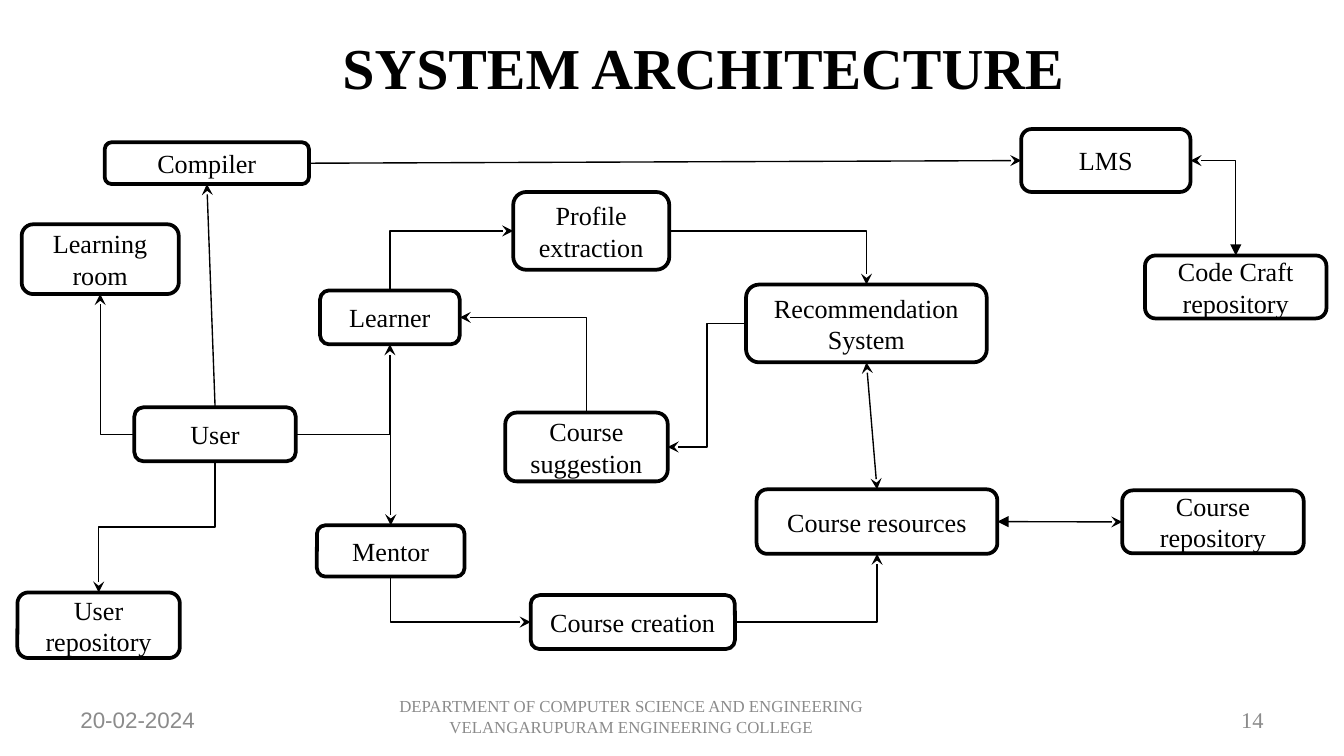
from dataclasses import dataclass

from pptx import Presentation
from pptx.dml.color import RGBColor
from pptx.enum.shapes import MSO_CONNECTOR, MSO_SHAPE
from pptx.enum.text import MSO_ANCHOR, PP_ALIGN
from pptx.oxml.ns import qn
from pptx.util import Cm, Pt
from lxml import etree

ROUND = MSO_SHAPE.ROUNDED_RECTANGLE
LINE, ELBOW = MSO_CONNECTOR.STRAIGHT, MSO_CONNECTOR.ELBOW
LEFT, MID, RIGHT = PP_ALIGN.LEFT, PP_ALIGN.CENTER, PP_ALIGN.RIGHT
MIDDLE = MSO_ANCHOR.MIDDLE
# connection sites of a box
N, W, S, E = range(4)


@dataclass(frozen=True)
class Theme:
    ink: RGBColor = RGBColor(0, 0, 0)
    paper: RGBColor = RGBColor(255, 255, 255)
    grey: RGBColor = RGBColor(0x8B, 0x8B, 0x8B)
    serif: str = "Times New Roman"
    sans: str = "Arial"
    title: int = 31
    body: int = 14
    foot: int = 12
    small: int = 9
    border: float = 2
    wire: float = 0.75


theme = Theme()


def write(shape, text, size=theme.body, color=theme.ink, font=theme.serif,
          align=MID, bold=False):
    frame = shape.text_frame
    frame.word_wrap = True
    frame.vertical_anchor = MIDDLE
    frame.text = text
    for para in frame.paragraphs:
        para.alignment = align
        face = para.runs[0].font
        face.name, face.size, face.bold = font, Pt(size), bold
        face.color.rgb = color


deck = Presentation()
deck.slide_width, deck.slide_height = Cm(25.4), Cm(14.29)
slide = deck.slides.add_slide(deck.slide_layouts[6])
shapes = slide.shapes

# Title and footer
grey = {"color": theme.grey}
labels = [
    ("SYSTEM ARCHITECTURE", (1.17, 0.41, 24.23, 1.7),
     {"size": theme.title, "bold": True}),
    ("20-02-2024", (1.27, 13.23, 5.92, 0.76),
     {"size": theme.foot, "font": theme.sans, "align": LEFT, **grey}),
    ("DEPARTMENT OF COMPUTER SCIENCE AND ENGINEERING\n"
     "VELANGARUPURAM ENGINEERING COLLEGE", (6.96, 13.16, 9.93, 0.76),
     {"size": theme.small, **grey}),
    ("14", (18.21, 13.23, 5.92, 0.76),
     {"size": theme.foot, "align": RIGHT, **grey}),
]
for text, place, style in labels:
    write(shapes.add_textbox(*map(Cm, place)), text, **style)

# Boxes: key, text, left, top, width, height
boxes = [
    ("learner", "Learner", 6.05, 5.49, 2.64, 1.02),
    ("mentor", "Mentor", 5.99, 9.93, 2.79, 0.97),
    ("system", "Recommendation System", 14.1, 5.38, 4.55, 1.47),
    ("resource", "Course resources", 14.3, 9.25, 4.55, 1.22),
    ("compiler", "Compiler", 1.98, 2.69, 3.86, 0.79),
    ("room", "Learning room", 0.41, 4.24, 2.97, 1.32),
    ("user", "User", 2.54, 7.7, 3.05, 1.02),
    ("users", "User repository", 0.33, 11.2, 3.07, 1.24),
    ("suggest", "Course suggestion", 9.55, 7.8, 3.07, 1.3),
    ("create", "Course creation", 10.03, 11.25, 3.86, 1.02),
    ("code", "Code Craft repository", 21.64, 4.83, 3.43, 1.19),
    ("lms", "LMS", 19.3, 2.44, 3.2, 1.19),
    ("profile", "Profile\nextraction", 9.7, 3.63, 2.95, 1.47),
    ("courses", "Course repository", 21.21, 9.27, 3.43, 1.19),
]
nodes = {}
for key, text, *place in boxes:
    box = shapes.add_shape(ROUND, *map(Cm, place))
    box.shadow.inherit = False
    box.fill.solid()
    box.fill.fore_color.rgb = theme.paper
    box.line.color.rgb = theme.ink
    box.line.width = Pt(theme.border)
    write(box, text)
    nodes[key] = box

# Wires: shape, start, site, end, site, arrow at start, arrow at end.
# A "corner" runs level first and then upright.
wires = [
    ("line", "user", N, "compiler", S, None, "stealth"),
    ("line", "compiler", E, "lms", W, None, "stealth"),
    ("line", "system", S, "resource", N, "stealth", "stealth"),
    ("line", "resource", E, "courses", W, "triangle", "stealth"),
    ("corner", "create", E, "resource", S, None, "stealth"),
    ("corner", "create", W, "mentor", S, "stealth", None),
    ("corner", "profile", W, "learner", N, "stealth", None),
    ("corner", "profile", E, "system", N, None, "stealth"),
    ("corner", "user", E, "learner", S, None, "stealth"),
    ("corner", "user", E, "mentor", N, None, "stealth"),
    ("corner", "learner", E, "suggest", N, "stealth", None),
    ("corner", "user", W, "room", S, None, "stealth"),
    ("corner", "lms", E, "code", N, "stealth", "triangle"),
    ("step", "system", W, "suggest", E, None, "stealth"),
    ("drop", "user", S, "users", N, None, "stealth"),
]
for kind, start, out, end, into, head, tail in wires:
    wire = shapes.add_connector(LINE if kind == "line" else ELBOW, 0, 0, 0, 0)
    wire.begin_connect(nodes[start], out)
    wire.end_connect(nodes[end], into)
    wire.line.color.rgb = theme.ink
    wire.line.width = Pt(theme.wire)
    props = wire._element.spPr
    if kind == "corner":
        props.find(qn("a:prstGeom")).set("prst", "bentConnector2")
    elif kind == "drop":
        # A quarter turn makes the step run downward
        wide, high = wire.width, wire.height
        shift = (wide - high) // 2
        wire.left, wire.top = wire.left + shift, wire.top - shift
        wire.width, wire.height = high, wide
        frame = props.find(qn("a:xfrm"))
        frame.set("rot", "5400000")
        frame.set("flipH", "0")
    ln = props.find(qn("a:ln"))
    for tag, tip in (("a:headEnd", head), ("a:tailEnd", tail)):
        if tip:
            etree.SubElement(ln, qn(tag), type=tip)
    etree.SubElement(props, qn("a:effectLst"))

deck.save("out.pptx")
